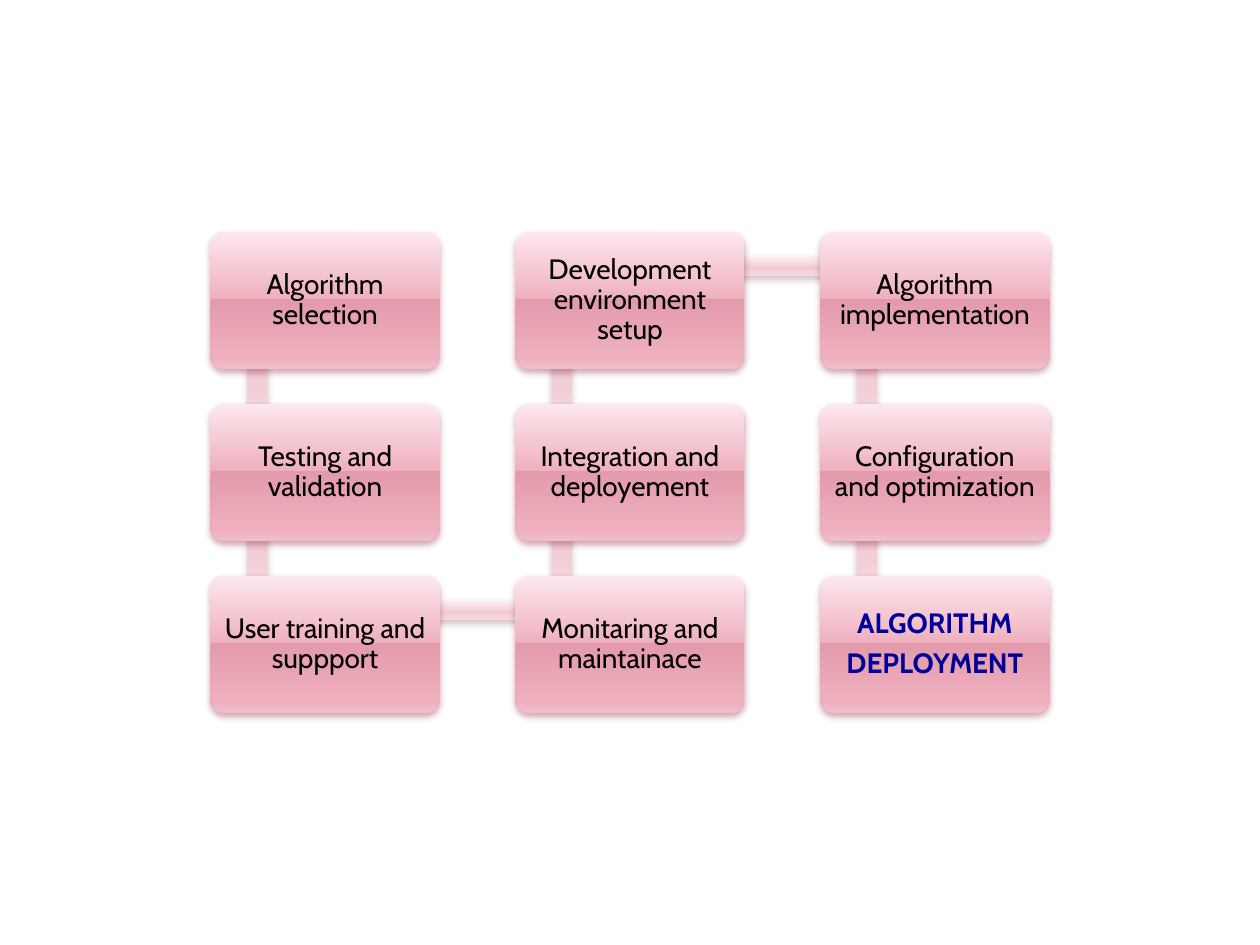
from typing import NamedTuple

from lxml.etree import SubElement
from pptx import Presentation
from pptx.dml.color import RGBColor
from pptx.enum.shapes import MSO_SHAPE
from pptx.enum.text import MSO_ANCHOR, PP_ALIGN
from pptx.oxml.ns import qn
from pptx.util import Inches, Pt

CARD_W, CARD_H = 1.82, 1.09
LEFT, TOP = 1.67, 1.84
COL_PITCH, ROW_PITCH = 2.42, 1.365
BAR_THICK = 0.16
BAR_INSET_X = 0.37
BAR_DOWN_Y, BAR_ACROSS_Y = 0.95, 0.27
BAR_DOWN_LEN, BAR_ACROSS_LEN = 1.35, 2.41


class Style(NamedTuple):
    stops: tuple[tuple[int, str], ...]
    shadow: str


class Step(NamedTuple):
    col: int
    row: int
    lines: tuple[str, ...]
    color: str = "000000"
    bold: bool = False


CARD_STYLE = Style(((0, "FCE8ED"), (49, "EFB0BE"), (49, "E39BAC"),
                    (92, "EFB0BE"), (100, "F0BEC9")), "7F1238")
BAR_STYLE = Style(((0, "FDF2F4"), (49, "F5D4DB"), (49, "EECAD2"),
                   (92, "F5D4DB"), (100, "F6DBE1")), "86626A")

STEPS = (
    Step(0, 0, ("Algorithm selection",)),
    Step(0, 1, ("Testing and validation",)),
    Step(0, 2, ("User training and suppport",)),
    Step(1, 2, ("Monitaring and maintainace",)),
    Step(1, 1, ("Integration and deployement",)),
    Step(1, 0, ("Development environment setup",)),
    Step(2, 0, ("Algorithm implementation",)),
    Step(2, 1, ("Configuration and optimization",)),
    Step(2, 2, ("ALGORITHM", "DEPLOYMENT"), "000099", True),
)


def rgb(value: str) -> RGBColor:
    return RGBColor.from_string(value)


def add_color(parent, value: str):
    return SubElement(parent, qn("a:srgbClr"), val=value)


def add_glossy(slide, kind, left: float, top: float, width: float,
               height: float, style: Style):
    """Add a borderless shape with a vertical gradient and a soft shadow."""
    shape = slide.shapes.add_shape(
        kind, Inches(left), Inches(top), Inches(width), Inches(height))
    shape.line.fill.background()
    shape.shadow.inherit = False
    shape.fill.gradient()

    properties = shape.fill._xPr
    gradient = properties.find(qn("a:gradFill"))
    gradient.set("rotWithShape", "0")
    gradient.find(qn("a:lin")).set("ang", "5400000")
    stop_list = gradient.find(qn("a:gsLst"))
    for stop in list(stop_list):
        stop_list.remove(stop)
    for percent, color in style.stops:
        add_color(SubElement(stop_list, qn("a:gs"), pos=str(percent * 1000)), color)

    shadow = SubElement(properties.find(qn("a:effectLst")), qn("a:outerShdw"),
                        blurRad=str(Pt(4)), dist=str(Pt(2)), dir="5400000",
                        rotWithShape="0")
    SubElement(add_color(shadow, style.shadow), qn("a:alpha"), val="38000")
    return shape


def card_origin(step: Step) -> tuple[float, float]:
    return LEFT + step.col * COL_PITCH, TOP + step.row * ROW_PITCH


def add_bar(slide, start: Step, end: Step) -> None:
    """Link two neighbouring steps, down or up a column or across to the next."""
    left, top = card_origin(min(start, end, key=lambda step: (step.col, step.row)))
    if start.col != end.col:
        add_glossy(slide, MSO_SHAPE.RECTANGLE, left + BAR_INSET_X,
                   top + BAR_ACROSS_Y - BAR_THICK / 2,
                   BAR_ACROSS_LEN, BAR_THICK, BAR_STYLE)
        return
    bar = add_glossy(slide, MSO_SHAPE.RECTANGLE,
                     left + BAR_INSET_X - BAR_DOWN_LEN / 2,
                     top + BAR_DOWN_Y - BAR_THICK / 2,
                     BAR_DOWN_LEN, BAR_THICK, BAR_STYLE)
    bar.rotation = 90 if end.row > start.row else 270


def add_card(slide, step: Step) -> None:
    card = add_glossy(slide, MSO_SHAPE.ROUNDED_RECTANGLE, *card_origin(step),
                      CARD_W, CARD_H, CARD_STYLE)
    card.adjustments[0] = 0.1
    frame = card.text_frame
    frame.word_wrap = True
    frame.vertical_anchor = MSO_ANCHOR.MIDDLE
    frame.margin_left = frame.margin_right = Inches(0.07)
    frame.margin_top = frame.margin_bottom = Inches(0.07)
    for index, line in enumerate(step.lines):
        paragraph = frame.add_paragraph() if index else frame.paragraphs[0]
        paragraph.alignment = PP_ALIGN.CENTER
        paragraph.line_spacing = 0.9
        paragraph.space_after = Pt(5.6)
        run = paragraph.add_run()
        run.text = line
        run.font.name = "Cabin"
        run.font.size = Pt(16)
        run.font.bold = step.bold
        run.font.color.rgb = rgb(step.color)


def main() -> None:
    presentation = Presentation()
    presentation.slide_width = Inches(10)
    presentation.slide_height = Inches(7.5)
    slide = presentation.slides.add_slide(presentation.slide_layouts[6])
    for step, following in zip(STEPS, STEPS[1:] + (None,)):
        if following:
            add_bar(slide, step, following)
        add_card(slide, step)
    presentation.save("out.pptx")


if __name__ == "__main__":
    main()
